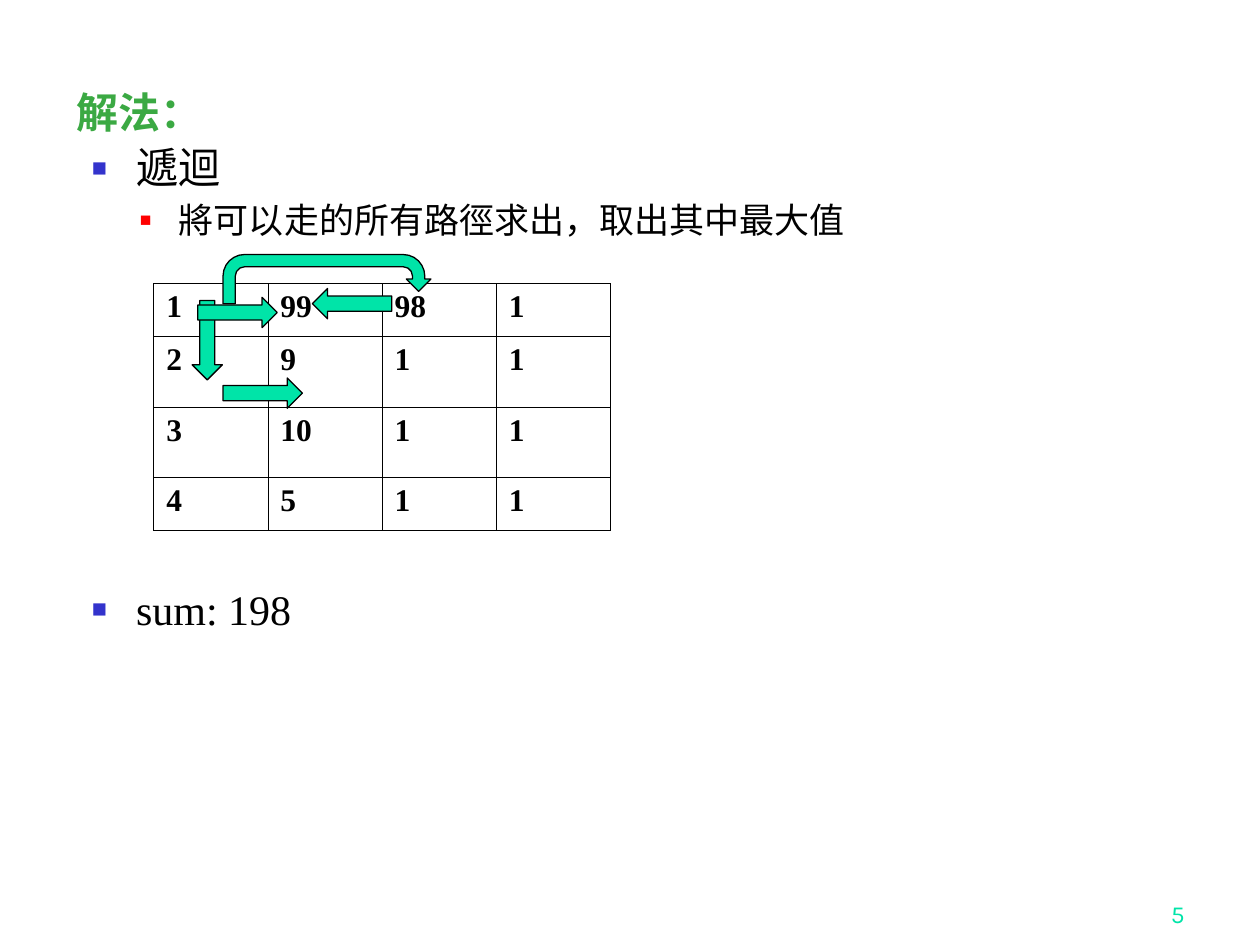
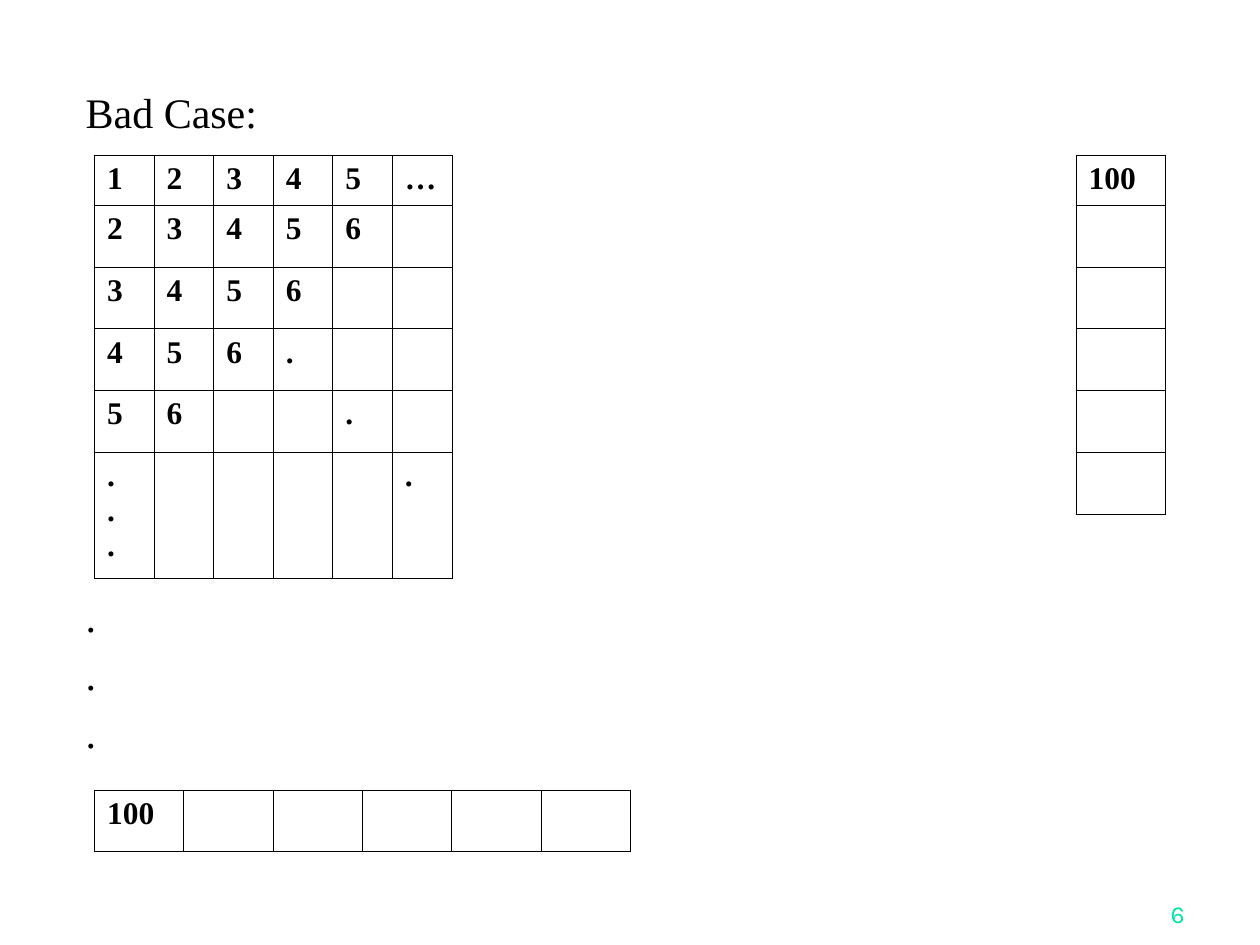
from dataclasses import dataclass

from lxml.etree import SubElement as Sub
from pptx import Presentation
from pptx.dml.color import RGBColor as Rgb
from pptx.enum.shapes import MSO_SHAPE as Form
from pptx.enum.text import MSO_ANCHOR as Anchor, MSO_AUTO_SIZE as Auto, PP_ALIGN as Align
from pptx.oxml.ns import qn
from pptx.util import Inches, Pt

COLS, ROWS = 100, 75


@dataclass(frozen=True)
class Theme:
    serif: str = "Times New Roman"
    sans: str = "Karla"
    ink: str = "000000"
    paper: str = "FFFFFF"
    green: str = "3BA943"
    mint: str = "00E4A8"
    blue: str = "3333CC"
    red: str = "FF0000"
    large: int = 24
    small: int = 20
    cell: int = 18
    page: int = 14
    rule: float = 0.45
    edge: float = 0.75
    tight: float = 0.9


LOOK = Theme()


def mark(para, color=None, share=60, left=0, hang=0):
    props = para._p.get_or_add_pPr()
    props.set("marL", str(Inches(left)))
    props.set("indent", str(-Inches(hang)))
    if color is None:
        Sub(props, qn("a:buNone"))
        return
    Sub(Sub(props, qn("a:buClr")), qn("a:srgbClr"), val=color)
    Sub(props, qn("a:buSzPct"), val=str(share * 1000))
    Sub(props, qn("a:buFont"), typeface=LOOK.serif)
    Sub(props, qn("a:buChar"), char="■")


def write(para, text, size=LOOK.large, font=LOOK.serif, color=LOOK.ink,
          bold=False, align=Align.LEFT, before=0, line=None, level=0, bullet=None):
    para.level = level
    mark(para, **(bullet or {}))
    para.alignment = align
    para.space_before = Pt(before)
    if line:
        para.line_spacing = line
    run = para.add_run()
    run.text = text
    run.font.size, run.font.name, run.font.bold = Pt(size), font, bold
    run.font.color.rgb = Rgb.from_string(color)


def fill(frame, items):
    for num, (text, form) in enumerate(items):
        para = frame.add_paragraph() if num else frame.paragraphs[0]
        write(para, text, **form)


class Deck:
    def __init__(self, look):
        self.look = look
        self.file = Presentation()
        self.file.slide_width, self.file.slide_height = Inches(10), Inches(7.5)
        self.unit_x = self.file.slide_width / COLS
        self.unit_y = self.file.slide_height / ROWS
        self.slide = None

    def area(self, x, y, wide, high):
        return (round(x * self.unit_x), round(y * self.unit_y),
                round(wide * self.unit_x), round(high * self.unit_y))

    def start(self, page):
        self.slide = self.file.slides.add_slide(self.file.slide_layouts[1])
        box = self.slide.shapes.add_textbox(*self.area(74.2, 69.2, 20.8, 5))
        box.text_frame.word_wrap = True
        box.text_frame.vertical_anchor = Anchor.BOTTOM
        fill(box.text_frame, [(str(page), dict(
            size=self.look.page, font=self.look.sans, color=self.look.mint,
            align=Align.RIGHT))])

    def place(self, shape, area, items):
        shape.left, shape.top, shape.width, shape.height = self.area(*area)
        frame = shape.text_frame
        frame.auto_size = Auto.NONE
        frame.vertical_anchor = Anchor.TOP
        fill(frame, [(text, dict(line=self.look.tight, **form)) for text, form in items])

    def title(self, text, x, **form):
        self.place(self.slide.shapes.title, (x, 6.8, 88.3, 4.5), [(text, form)])

    def body(self, items, x, y):
        self.place(self.slide.placeholders[1], (x, y, 88.3, 68.3 - y), items)

    def border(self, cell):
        props = cell._tc.get_or_add_tcPr()
        for side in "LRTB":
            line = Sub(props, qn("a:ln" + side), w=str(Pt(self.look.rule)))
            Sub(Sub(line, qn("a:solidFill")), qn("a:srgbClr"), val=self.look.ink)

    def table(self, x, y, wide, highs, cells):
        count = len(cells[0])
        table = self.slide.shapes.add_table(
            len(cells), count, *self.area(x, y, wide * count, sum(highs))).table
        table.first_row = table.horz_banding = False
        for col in table.columns:
            col.width = round(wide * self.unit_x)
        for row, high, texts in zip(table.rows, highs, cells):
            row.height = round(high * self.unit_y)
            for cell, text in zip(row.cells, texts):
                self.border(cell)
                cell.fill.solid()
                cell.fill.fore_color.rgb = Rgb.from_string(self.look.paper)
                if text:
                    fill(cell.text_frame, [(part, dict(size=self.look.cell, bold=True))
                                           for part in text.split("\n")])

    def arrow(self, x, y, turn=0, form=Form.LEFT_ARROW, wide=6.3, high=2.4):
        shape = self.slide.shapes.add_shape(form, *self.area(x, y, wide, high))
        shape.shadow.inherit = False
        shape.rotation = turn
        shape.fill.solid()
        shape.fill.fore_color.rgb = Rgb.from_string(self.look.mint)
        shape.line.color.rgb = Rgb.from_string(self.look.ink)
        shape.line.width = Pt(self.look.edge)


def solve(deck):
    deck.start(5)
    deck.title("解法：", 5.1, color=LOOK.green, bold=True)
    main = dict(color=LOOK.blue, share=60, left=0.47, hang=0.35)
    deep = dict(color=LOOK.red, share=55, left=0.81, hang=0.31)
    deck.body([
        ("遞迴", dict(bullet=main)),
        ("將可以走的所有路徑求出，取出其中最大值",
         dict(size=LOOK.small, level=1, before=6, bullet=deep)),
        ("sum: 198", dict(before=199, bullet=main)),
    ], 5.1, 11.2)
    deck.table(12.2, 22.5, 9.06, [4.2, 5.6, 5.6, 4.2], [
        ["1", "99", "98", "1"],
        ["2", "9", "1", "1"],
        ["3", "10", "1", "1"],
        ["4", "5", "1", "1"],
    ])
    deck.arrow(17.7, 20.2, form=Form.U_TURN_ARROW, wide=16.5, high=3.9)
    for x, y, turn in [(24.8, 22.9, 0), (13.3, 25.8, 270),
                       (17.7, 30, 180), (15.7, 23.6, 180)]:
        deck.arrow(x, y, turn)


def worst(deck):
    deck.start(6)
    deck.title("Bad Case:", 5.8)
    deck.body([(".", dict(before=7.2 if num else 0)) for num in range(3)], 5.8, 46.8)
    deck.table(7.5, 12.3, 4.73, [4] + [4.9] * 4 + [10], [
        ["1", "2", "3", "4", "5", "…"],
        ["2", "3", "4", "5", "6", ""],
        ["3", "4", "5", "6", "", ""],
        ["4", "5", "6", ".", "", ""],
        ["5", "6", "", "", ".", ""],
        [".\n.\n.", "", "", "", "", "."],
    ])
    deck.table(7.5, 62.7, 7.09, [4.85], [["100"] + [""] * 5])
    deck.table(85.4, 12.3, 7.1, [4] + [4.9] * 5, [["100"]] + [[""]] * 5)


def main():
    deck = Deck(LOOK)
    solve(deck)
    worst(deck)
    deck.file.save("out.pptx")


if __name__ == "__main__":
    main()
